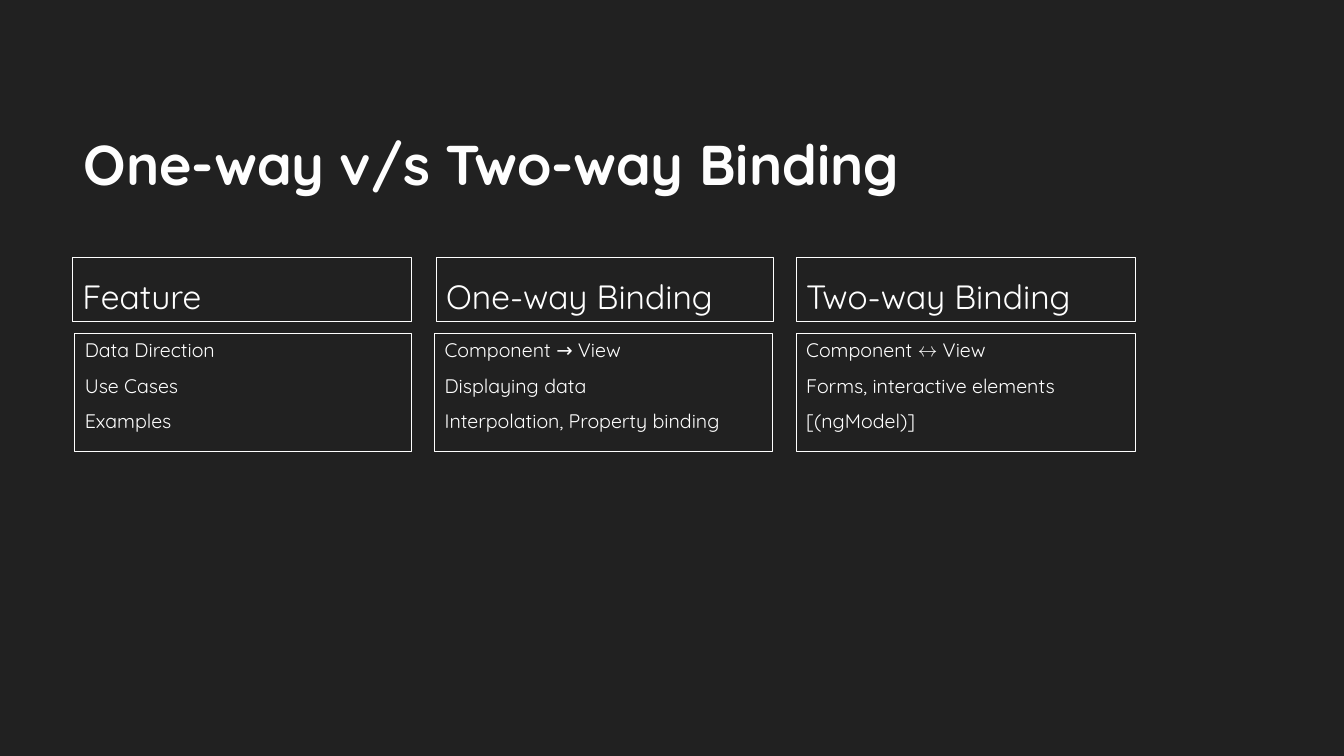
"""Build a slide that compares one-way and two-way binding."""
from lxml.etree import fromstring
from pptx import Presentation
from pptx.dml.color import RGBColor
from pptx.enum.shapes import MSO_SHAPE
from pptx.enum.text import MSO_ANCHOR, MSO_AUTO_SIZE, PP_ALIGN
from pptx.util import Pt

WHITE = "FFFFFF"
GLOW = (
    '<a:effectLst xmlns:a="http://schemas.openxmlformats.org/drawingml/2006/main">'
    '<a:outerShdw blurRad="50800" dist="38100" dir="2700000" algn="tl" rotWithShape="0">'
    '<a:srgbClr val="000000"><a:alpha val="48000"/></a:srgbClr>'
    "</a:outerShdw></a:effectLst>"
)
HEADS = [
    ("Feature", 51.8, 242),
    ("One-way Binding", 311.6, 241.2),
    ("Two-way Binding", 568.8, 242),
]
LISTS = [
    ("Data Direction\nUse Cases\nExamples", 53.5, 240.5),
    ("Component → View\nDisplaying data\nInterpolation, Property binding", 310.5, 241.2),
    ("Component ↔ View\nForms, interactive elements\n[(ngModel)]", 568.8, 242),
]


def color(code):
    return RGBColor.from_string(code)


def style(frame, text, size, anchor, tone=WHITE, bold=False):
    frame.text = text
    frame.word_wrap = True
    frame.auto_size = MSO_AUTO_SIZE.NONE
    frame.vertical_anchor = anchor
    for par in frame.paragraphs:
        par.alignment = PP_ALIGN.LEFT
        for run in par.runs:
            run.font.size = Pt(size)
            run.font.bold = bold
            run.font.color.rgb = color(tone)
            run.font.name = "Quicksand"


def add_title(slide, text):
    title = slide.shapes.title
    title.left, title.top = Pt(52.6), Pt(59)
    title.width, title.height = Pt(758.2), Pt(85)
    style(title.text_frame, text, 40, MSO_ANCHOR.BOTTOM, "FEFEFE", True)
    props = title.text_frame.paragraphs[0].runs[0].font._element
    props.find("{*}solidFill").addnext(fromstring(GLOW))


def add_box(slide, text, left, top, width, height, size, anchor):
    box = slide.shapes.add_shape(
        MSO_SHAPE.RECTANGLE, Pt(left), Pt(top), Pt(width), Pt(height))
    box.shadow.inherit = False
    box.fill.background()
    box.line.color.rgb = color(WHITE)
    box.line.width = Pt(0.75)
    style(box.text_frame, text, size, anchor)
    for par in box.text_frame.paragraphs:
        par.space_before = Pt(size * 0.16)
        par.space_after = Pt(6)


def main():
    deck = Presentation()
    deck.slide_width, deck.slide_height = Pt(960), Pt(540)
    slide = deck.slides.add_slide(deck.slide_layouts[5])
    slide.background.fill.solid()
    slide.background.fill.fore_color.rgb = color("212121")
    add_title(slide, "One-way v/s Two-way Binding")
    for text, left, width in HEADS:
        add_box(slide, text, left, 184, width, 45.5, 24, MSO_ANCHOR.BOTTOM)
    for text, left, width in LISTS:
        add_box(slide, text, left, 238.2, width, 84.2, 14, MSO_ANCHOR.TOP)
    deck.save("out.pptx")


if __name__ == "__main__":
    main()
